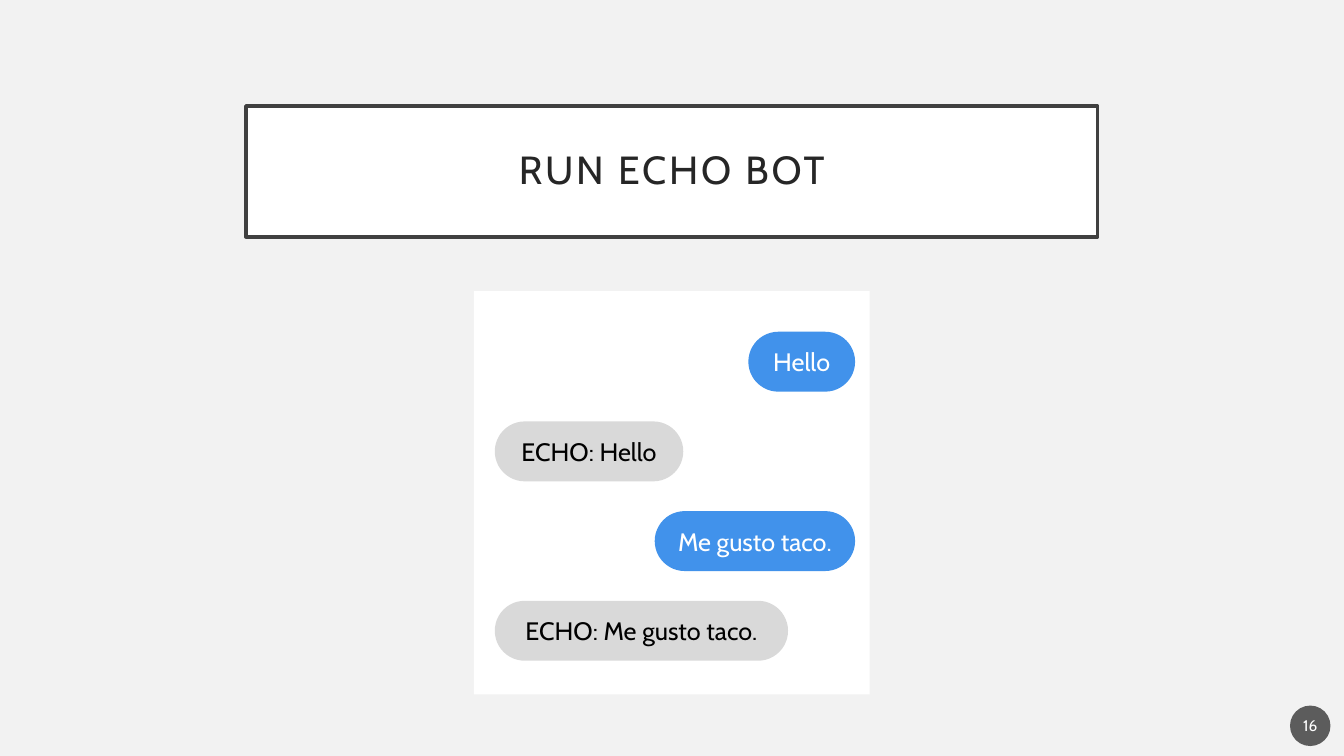
import pptx
import pptx.util
from dataclasses import dataclass
from lxml import etree
from pptx.dml.color import RGBColor
from pptx.enum.shapes import MSO_SHAPE
from pptx.enum.text import MSO_ANCHOR, PP_ALIGN
from pptx.oxml.ns import qn
from pptx.util import Cm, Pt


@dataclass(frozen=True)
class Theme:
    font: str = "Cabin"
    background: str = "F2F2F2"
    paper: str = "FFFFFF"
    frame: str = "404040"
    title: str = "262626"
    badge: str = "1D1D1D"
    user: str = "4192EB"
    bot: str = "D9D9D9"
    light: str = "FFFFFF"
    dark: str = "000000"
    title_size: int = 28
    chat_size: int = 18
    badge_size: int = 11


THEME = Theme()


def fill_solid(fill, color):
    fill.solid()
    fill.fore_color.rgb = RGBColor.from_string(color)


def set_text(sp, text, size, color, inset_x=0.25, inset_y=0.13):
    """Write one centred line and return its run."""
    tf = sp.text_frame
    tf.text = text
    tf.word_wrap = True
    tf.vertical_anchor = MSO_ANCHOR.MIDDLE
    tf.margin_left = tf.margin_right = Cm(inset_x)
    tf.margin_top = tf.margin_bottom = Cm(inset_y)
    p = tf.paragraphs[0]
    p.alignment = PP_ALIGN.CENTER
    r = p.runs[0]
    r.font.name = THEME.font
    r.font.size = Pt(size)
    r.font.color.rgb = RGBColor.from_string(color)
    return r


def add_block(shapes, kind, box, color):
    """Add a plain filled shape in a box given in centimetres."""
    sp = shapes.add_shape(kind, *map(Cm, box))
    sp.shadow.inherit = False
    fill_solid(sp.fill, color)
    sp.line.fill.background()
    return sp


def add_title(s, box, text):
    sp = s.shapes.title
    sp.left, sp.top, sp.width, sp.height = map(Cm, box)
    fill_solid(sp.fill, THEME.paper)
    sp.line.color.rgb = RGBColor.from_string(THEME.frame)
    sp.line.width = Pt(2.5)
    r = set_text(sp, text, THEME.title_size, THEME.title, 0.5, 0.5)
    r.font._element.set("spc", "200")  # letter spacing of 2 pt
    sp.text_frame.paragraphs[0].line_spacing = 0.9


def add_page_badge(s, box, number):
    sp = add_block(s.shapes, MSO_SHAPE.OVAL, box, THEME.badge)
    color = sp.fill._xPr.find(qn("a:solidFill"))[0]
    etree.SubElement(color, qn("a:alpha"), val="70000")
    set_text(sp, number, THEME.badge_size, THEME.light, 0.05)


def add_chat(s, box, messages):
    """Stack bubbles at an equal pitch: user on the right, bot on the left."""
    left, top, width, _ = box
    bubble_h, pitch, first = 1.51, 2.26, 1.02
    margin_left, margin_right = 0.53, 0.37
    shapes = s.shapes.add_group_shape().shapes
    add_block(shapes, MSO_SHAPE.RECTANGLE, box, THEME.paper)
    for i, (from_user, text, bubble_w) in enumerate(messages):
        if from_user:
            x = left + width - margin_right - bubble_w
            color, ink = THEME.user, THEME.light
        else:
            x = left + margin_left
            color, ink = THEME.bot, THEME.dark
        bubble = (x, top + first + i * pitch, bubble_w, bubble_h)
        sp = add_block(shapes, MSO_SHAPE.ROUNDED_RECTANGLE, bubble, color)
        sp.adjustments[0] = 0.5
        set_text(sp, text, THEME.chat_size, ink)


def build_echo_slide(prs):
    s = prs.slides.add_slide(prs.slide_layouts[5])
    fill_solid(s.background.fill, THEME.background)

    # Framed title
    add_title(s, (6.2, 2.67, 21.46, 3.3), "RUN ECHO BOT")

    # Page number
    add_page_badge(s, (32.51, 17.78, 1.02, 1.02), "16")

    # Conversation: (from user, text, bubble width)
    add_chat(s, (11.94, 7.34, 9.98, 10.16), [
        (True, "Hello", 2.69),
        (False, "ECHO: Hello", 4.75),
        (True, "Me gusto taco.", 5.05),
        (False, "ECHO: Me gusto taco.", 7.39),
    ])


def main():
    prs = pptx.Presentation()
    prs.slide_width, prs.slide_height = Cm(33.87), Cm(19.05)
    build_echo_slide(prs)
    prs.save("out.pptx")


if __name__ == "__main__":
    main()
